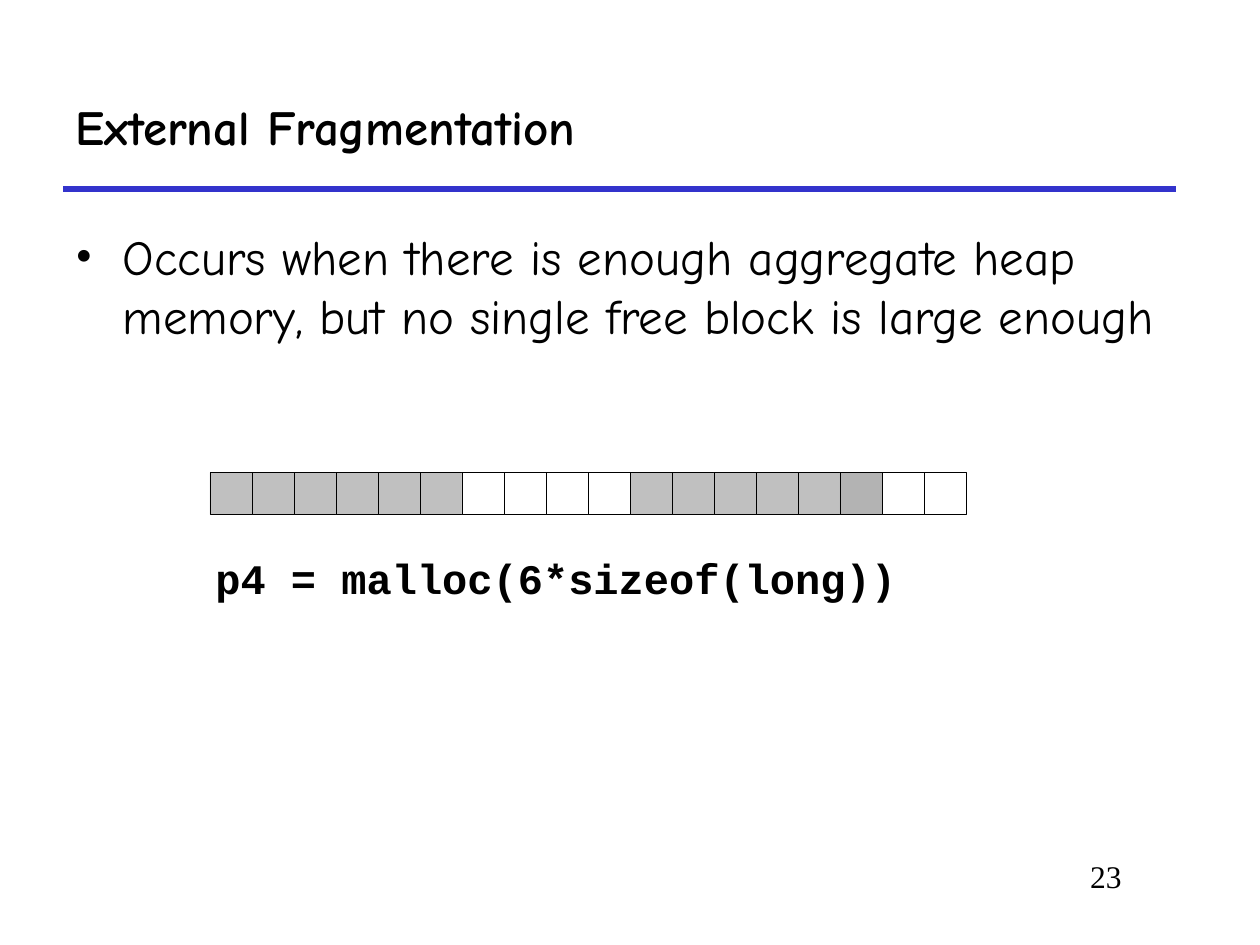
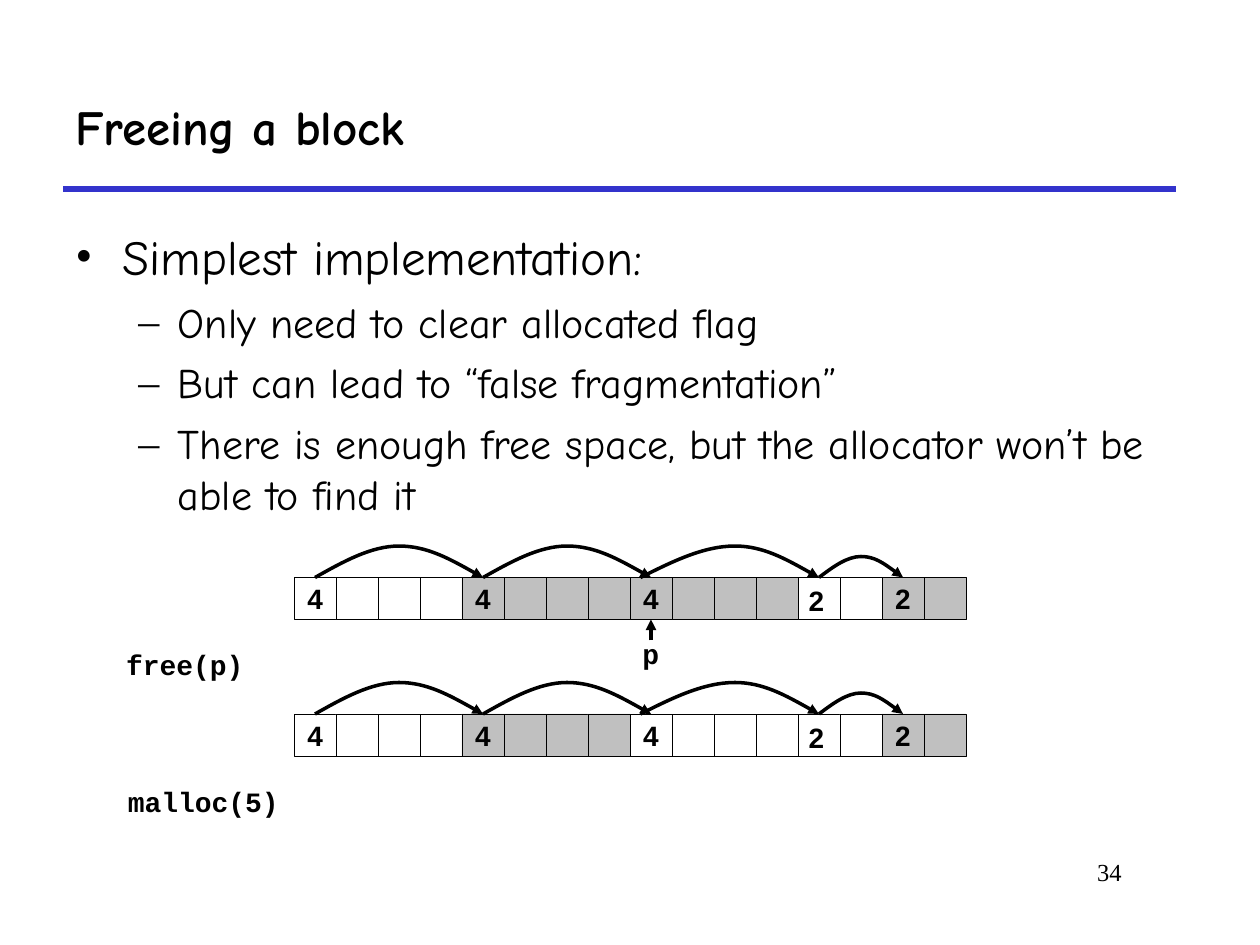
from dataclasses import dataclass
from typing import Any

from lxml import etree
from pptx import Presentation
from pptx.dml.color import RGBColor
from pptx.enum.shapes import MSO_CONNECTOR, MSO_SHAPE
from pptx.enum.text import MSO_ANCHOR, MSO_AUTO_SIZE, PP_ALIGN
from pptx.oxml.ns import qn
from pptx.util import Pt

LEFT, CENTER, RIGHT = PP_ALIGN.LEFT, PP_ALIGN.CENTER, PP_ALIGN.RIGHT
TOP, MIDDLE = MSO_ANCHOR.TOP, MSO_ANCHOR.MIDDLE
GROW = MSO_AUTO_SIZE.SHAPE_TO_FIT_TEXT
RECTANGLE, STRAIGHT = MSO_SHAPE.RECTANGLE, MSO_CONNECTOR.STRAIGHT

BLACK, WHITE, BLUE = "000000", "FFFFFF", "3333CC"
USED, DARK_USED = "C0C0C0", "B3B3B3"
HEADING_FONT, SERIF_FONT = "Comic Neue", "Times New Roman"
CELL_SIZE = 24
CELL_FILLS = {"#": USED, "%": DARK_USED, ".": WHITE}


@dataclass(frozen=True)
class TextStyle:
    font: str
    size: float
    bold: bool = False
    align: Any = LEFT
    anchor: Any = TOP
    wrap: bool = True


@dataclass(frozen=True)
class Box:
    left: float
    top: float
    width: float
    height: float


@dataclass(frozen=True)
class BulletLevel:
    mark: str
    size: float
    margin: float
    indent: float
    space_before: float


@dataclass(frozen=True)
class Arc:
    start: float
    peak: float
    end: float
    height: float


TITLE = TextStyle(HEADING_FONT, 28, bold=True, anchor=MIDDLE)
CODE = TextStyle("Courier New", 16, bold=True, wrap=False)
BIG_CODE = TextStyle("Courier New", 24, bold=True, wrap=False)
CELL_LABEL = TextStyle("Arial", 16, bold=True, align=CENTER, anchor=MIDDLE, wrap=False)
LOOSE_LABEL = TextStyle("Arial", 16, bold=True, wrap=False)

BULLETS = (BulletLevel("•", 28, 27, -27, 7), BulletLevel("–", 24, 58.5, -22.5, 6))

# Links between block headers, measured from the left edge of the heap row
HEAP_LINKS = (
    Arc(12, 60, 108, 18),
    Arc(108, 156, 204, 18),
    Arc(198, 252, 300, 18),
    Arc(300, 324, 348, 12),
)
BLOCK_SIZES = {0: "4", 4: "4", 8: "4", 14: "2"}


def color(hex_text: str) -> RGBColor:
    return RGBColor.from_string(hex_text)


def apply(target: Any, values: dict[str, Any]) -> None:
    for name, value in values.items():
        setattr(target, name, value)


def add_span(para: Any, text: str, font: str, size: float, bold: bool = False) -> None:
    span = para.add_run()
    span.text = text
    apply(span.font, {"name": font, "size": Pt(size), "bold": bold})
    span.font.color.rgb = color(BLACK)


def write(shape: Any, text: str, style: TextStyle) -> None:
    frame = shape.text_frame
    apply(frame, {"word_wrap": style.wrap, "vertical_anchor": style.anchor})
    para = frame.paragraphs[0]
    para.alignment = style.align
    add_span(para, text, style.font, style.size, style.bold)


def add_box(page: Any, box: Box) -> Any:
    return page.shapes.add_textbox(Pt(box.left), Pt(box.top), Pt(box.width), Pt(box.height))


def add_text(page: Any, box: Box, text: str, style: TextStyle) -> None:
    shape = add_box(page, box)
    write(shape, text, style)
    if not style.wrap:
        shape.text_frame.auto_size = GROW


def style_line(shape: Any, hex_text: str, width: float, arrow: bool = False) -> None:
    shape.line.color.rgb = color(hex_text)
    shape.line.width = Pt(width)
    if arrow:
        outline = shape._element.spPr.find(qn("a:ln"))
        etree.SubElement(outline, qn("a:tailEnd"), type="triangle")


def add_line(page: Any, start: tuple[float, float], end: tuple[float, float],
             hex_text: str, width: float, arrow: bool = False) -> None:
    line = page.shapes.add_connector(STRAIGHT, *map(Pt, start + end))
    style_line(line, hex_text, width, arrow)
    etree.SubElement(line._element.spPr, qn("a:effectLst"))


def add_bullets(page: Any, height: float, items: list[tuple[int, str]]) -> None:
    frame = add_box(page, Box(36, 126, 636, height)).text_frame
    frame.word_wrap = True
    for index, (depth, text) in enumerate(items):
        level = BULLETS[depth]
        para = frame.add_paragraph() if index else frame.paragraphs[0]
        apply(para, {"level": depth, "space_before": Pt(level.space_before)})
        properties = para._p.get_or_add_pPr()
        properties.set("marL", str(Pt(level.margin)))
        properties.set("indent", str(Pt(level.indent)))
        etree.SubElement(properties, qn("a:buFont"), typeface=SERIF_FONT)
        etree.SubElement(properties, qn("a:buChar"), char=level.mark)
        add_span(para, text, HEADING_FONT, level.size)


def add_heap(page: Any, left: float, top: float, pattern: str,
             labels: dict[int, str]) -> None:
    for index, kind in enumerate(pattern):
        cell = page.shapes.add_shape(RECTANGLE, Pt(left + index * CELL_SIZE), Pt(top),
                                     Pt(CELL_SIZE), Pt(CELL_SIZE))
        cell.shadow.inherit = False
        cell.fill.solid()
        cell.fill.fore_color.rgb = color(CELL_FILLS[kind])
        style_line(cell, BLACK, 0.25)
        if index in labels:
            write(cell, labels[index], CELL_LABEL)


def add_arc(page: Any, left: float, base: float, arc: Arc) -> None:
    points = [(Pt(left + arc.start), Pt(base)),
              (Pt(left + arc.peak), Pt(base - arc.height)),
              (Pt(left + arc.end), Pt(base))]
    builder = page.shapes.build_freeform(*points[0])
    builder.add_line_segments(points[1:], close=False)
    curve = builder.convert_to_shape()
    curve.shadow.inherit = False
    curve.fill.background()
    style_line(curve, BLACK, 2, arrow=True)

    # Bend both segments so that they meet level at the peak
    width, middle, height = Pt(arc.end - arc.start), Pt(arc.peak - arc.start), Pt(arc.height)
    rise = [(middle // 3, height // 2), (middle * 2 // 3, 0), (middle, 0)]
    rest = width - middle
    fall = [(middle + rest // 3, 0), (middle + rest * 2 // 3, height // 2), (width, height)]
    segments = list(curve._element.iter(qn("a:lnTo")))
    for segment, controls in zip(segments, (rise, fall)):
        bend = etree.Element(qn("a:cubicBezTo"))
        for x, y in controls:
            etree.SubElement(bend, qn("a:pt"), x=str(x), y=str(y))
        segment.getparent().replace(segment, bend)


def add_linked_heap(page: Any, top: float, pattern: str) -> None:
    left = 168
    add_heap(page, left, top, pattern, BLOCK_SIZES)
    add_text(page, Box(left + 287, top, 23.3, 26.6), "2", LOOSE_LABEL)
    for arc in HEAP_LINKS:
        add_arc(page, left, top, arc)


def add_page(deck: Any, title: str, number: str, number_size: float) -> Any:
    page = deck.slides.add_slide(deck.slide_layouts[6])
    add_line(page, (36, 108), (672, 108), BLUE, 3)
    add_text(page, Box(36, 36, 636, 72), title, TITLE)
    number_style = TextStyle(SERIF_FONT, number_size, align=RIGHT)
    add_text(page, Box(546, 486, 102, 36), number, number_style)
    return page


def build_fragmentation(deck: Any) -> None:
    page = add_page(deck, "External Fragmentation", "23", 18)
    add_bullets(page, 348, [
        (0, "Occurs when there is enough aggregate heap memory, "
            "but no single free block is large enough"),
    ])
    add_heap(page, 120, 270, "######....#####%..", {})
    add_text(page, Box(116, 312, 404, 36), "p4 = malloc(6*sizeof(long))", BIG_CODE)


def build_freeing(deck: Any) -> None:
    page = add_page(deck, "Freeing a block", "34", 14)
    add_bullets(page, 180, [
        (0, "Simplest implementation:"),
        (1, "Only need to clear allocated flag"),
        (1, "But can lead to “false fragmentation”"),
        (1, "There is enough free space, but the allocator won’t be able to find it"),
    ])
    # Heap before and after the call to free
    add_linked_heap(page, 330, "....########..##")
    add_linked_heap(page, 408, "....####......##")
    # Pointer and calls
    add_line(page, (372, 366), (372, 354), BLACK, 2, arrow=True)
    add_text(page, Box(360, 360, 24, 26.6), "p", CODE)
    add_text(page, Box(65, 366.5, 82, 26.6), "free(p)", CODE)
    add_text(page, Box(66, 444.5, 101, 26.6), "malloc(5)", CODE)


def main() -> None:
    deck = Presentation()
    apply(deck, {"slide_width": Pt(720), "slide_height": Pt(540)})
    build_fragmentation(deck)
    build_freeing(deck)
    deck.save("out.pptx")


if __name__ == "__main__":
    main()
